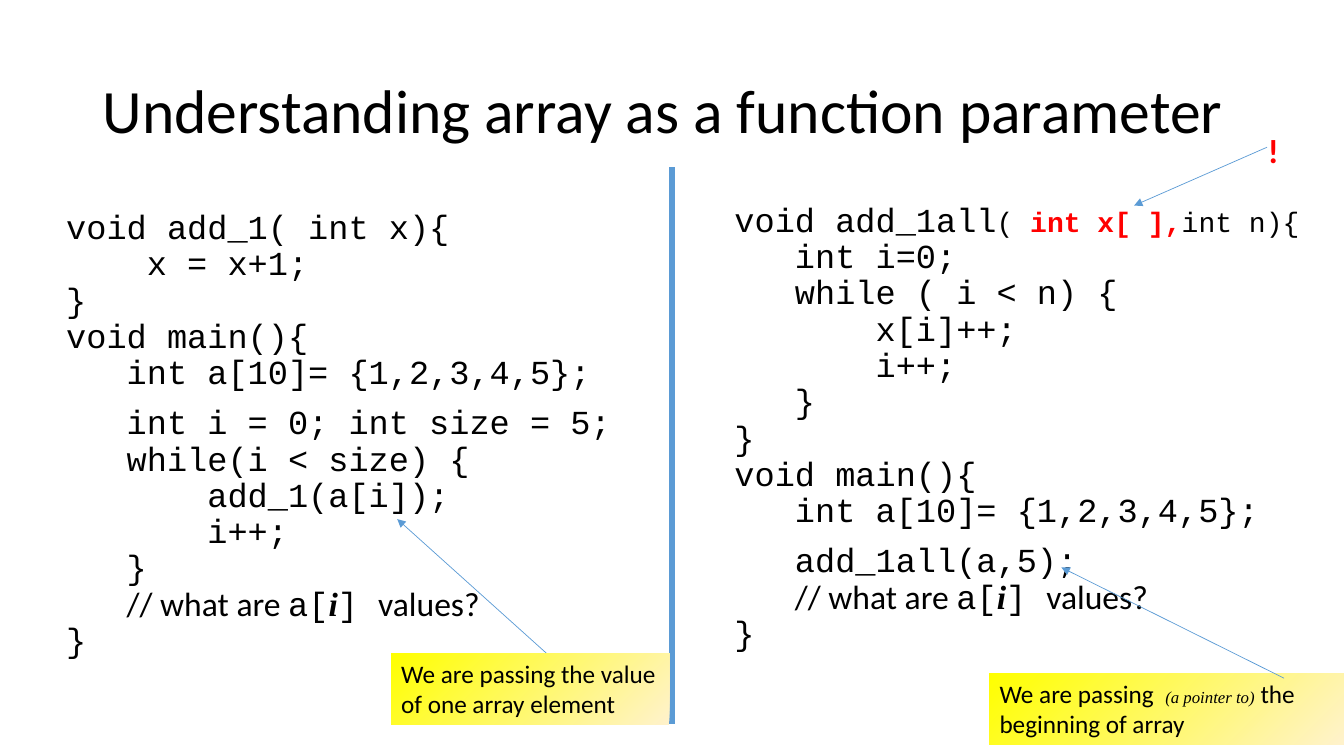
from dataclasses import dataclass

import lxml.etree
import pptx
import pptx.dml.color
import pptx.enum.dml
import pptx.enum.shapes
import pptx.enum.text
import pptx.oxml.ns
import pptx.util

Cm, Pt, qn = pptx.util.Cm, pptx.util.Pt, pptx.oxml.ns.qn
AUTO_SIZE = pptx.enum.text.MSO_AUTO_SIZE
COLORS = {"ink": "000000", "alert": "FF0000", "line": "5B9BD5",
          "note": "FFFF00", "note_edge": "FFF2CC"}
CODE, SANS, SERIF = "Courier New", "Calibri", "Times New Roman"


@dataclass
class Span:
    text: str
    font: str = CODE
    size: float = 24
    color: str = "ink"
    bold: bool = False
    italic: bool = False


@dataclass
class Block:
    left: float
    top: float
    width: float
    height: float
    paragraphs: list[list[Span]]
    wrap: bool = True
    grow: bool = False


@dataclass
class Line:
    start: tuple[float, float]
    end: tuple[float, float]
    width: float = 0.5
    arrow: bool = True


def rgb(name: str) -> pptx.dml.color.RGBColor:
    return pptx.dml.color.RGBColor.from_string(COLORS[name])


def format_run(run, span: Span) -> None:
    run.font.name, run.font.size = span.font, Pt(span.size)
    run.font.bold, run.font.italic = span.bold, span.italic
    run.font.color.rgb = rgb(span.color)


def write_spans(paragraph, spans: list[Span]) -> None:
    for span in spans:
        for number, text in enumerate(span.text.split("\n")):
            if number:
                paragraph.add_line_break()
            if text:
                run = paragraph.add_run()
                run.text = text
                format_run(run, span)


def fill_frame(frame, block: Block) -> None:
    frame.word_wrap = block.wrap
    frame.auto_size = AUTO_SIZE.SHAPE_TO_FIT_TEXT if block.grow else AUTO_SIZE.NONE
    for number, spans in enumerate(block.paragraphs):
        paragraph = frame.add_paragraph() if number else frame.paragraphs[0]
        paragraph.alignment = pptx.enum.text.PP_ALIGN.LEFT
        write_spans(paragraph, spans)


def box(block: Block) -> tuple:
    return Cm(block.left), Cm(block.top), Cm(block.width), Cm(block.height)


def draw_text(slide, block: Block):
    frame = slide.shapes.add_textbox(*box(block)).text_frame
    fill_frame(frame, block)
    return frame


def draw_code(slide, block: Block) -> None:
    for paragraph in draw_text(slide, block).paragraphs:
        paragraph.line_spacing = 0.9
        paragraph.space_before = Pt(10)


def draw_callout(slide, block: Block) -> None:
    callout = slide.shapes.add_shape(
        pptx.enum.shapes.MSO_SHAPE.RECTANGLE, *box(block))
    callout.shadow.inherit = False
    callout.line.fill.background()
    callout.fill.gradient()
    for stop, color in zip(callout.fill.gradient_stops, ("note", "note_edge")):
        stop.color.rgb = rgb(color)
    # Radial gradient that starts in the top left corner
    gradient = callout.element.spPr.find(qn("a:gradFill"))
    gradient.remove(gradient.find(qn("a:lin")))
    radial = lxml.etree.SubElement(gradient, qn("a:path"), {"path": "circle"})
    lxml.etree.SubElement(radial, qn("a:fillToRect"), r="100000", b="100000")
    callout.text_frame.vertical_anchor = pptx.enum.text.MSO_ANCHOR.TOP
    fill_frame(callout.text_frame, block)


def draw_line(slide, line: Line) -> None:
    connector = slide.shapes.add_connector(
        pptx.enum.shapes.MSO_CONNECTOR.STRAIGHT,
        *(Cm(length) for length in line.start + line.end))
    connector.line.color.rgb = rgb("line")
    connector.line.width = Pt(line.width)
    properties = connector.element.spPr
    if line.arrow:
        lxml.etree.SubElement(properties.find(qn("a:ln")), qn("a:tailEnd"), type="triangle")
    lxml.etree.SubElement(properties, qn("a:effectLst"))


# Both programs end with the same question
QUESTION = [Span("// what are ", SANS), Span("a["),
            Span("i", SERIF, bold=True, italic=True), Span("] "),
            Span("values?\n", SANS), Span("}")]

BY_VALUE = Block(1.42, 5.18, 16.84, 12.09, [
    [Span("void add_1( int x){\n    x = x+1;\n}\n"
          "void main(){\n   int a[10]= {1,2,3,4,5};")],
    [Span("   int i = 0; int size = 5;\n   while(i < size) {\n"
          "       add_1(a[i]);\n       i++;\n   }\n   "), *QUESTION],
])
BY_POINTER = Block(18.26, 5, 16.97, 12.09, [
    [Span("void add_1all"), Span("( ", size=20),
     Span("int x[ ],", size=20, color="alert", bold=True),
     Span("int n){\n", size=20),
     Span("   int i=0;\n   while ( i < n) {\n       x[i]++;\n       i++;\n   }\n}\n"
          "void main(){\n   int a[10]= {1,2,3,4,5};")],
    [Span("   add_1all(a,5);\n   "), *QUESTION],
])
ALERT = Block(31.7, 3.15, 0.76, 0.74,
              [[Span("!", SANS, color="alert", bold=True)]], wrap=False, grow=True)
VALUE_NOTE = Block(9.86, 16.46, 7.01, 1.8, [
    [Span("We are passing the value\nof one array element", SANS, 18)]],
    wrap=False, grow=True)
POINTER_NOTE = Block(24.94, 16.97, 8.94, 1.8, [
    [Span("We are passing  ", SANS, 18),
     Span("(a pointer to)", SERIF, 12, italic=True),
     Span(" the beginning of array", SANS, 18)]], grow=True)

DIVIDER = Line((16.94, 4.22), (16.94, 18.24), width=4.5, arrow=False)
ALERT_ARROW = Line((31.93, 3.71), (28.58, 5.18))
VALUE_ARROW = Line((13.77, 16.46), (10.01, 13.08))
POINTER_ARROW = Line((32.36, 17.09), (26.75, 14.3))


def main() -> None:
    deck = pptx.Presentation()
    deck.slide_width, deck.slide_height = Cm(33.87), Cm(19.05)
    slide = deck.slides.add_slide(deck.slide_layouts[5])

    # Title
    title = slide.shapes.title
    title.left, title.top, title.width, title.height = Cm(2.33), Cm(1.01), Cm(29.21), Cm(3.68)
    title.text_frame.text = "Understanding array as a function parameter"
    title.text_frame.auto_size = AUTO_SIZE.NONE
    title.text_frame.vertical_anchor = pptx.enum.text.MSO_ANCHOR.MIDDLE
    heading = title.text_frame.paragraphs[0]
    heading.alignment = pptx.enum.text.PP_ALIGN.LEFT
    heading.line_spacing = 0.9
    format_run(heading.runs[0], Span(heading.text, SANS, 44))

    # Two programs side by side
    draw_code(slide, BY_VALUE)
    draw_code(slide, BY_POINTER)
    draw_line(slide, DIVIDER)

    # Remarks with their arrows
    draw_line(slide, ALERT_ARROW)
    draw_text(slide, ALERT)
    draw_line(slide, VALUE_ARROW)
    draw_callout(slide, VALUE_NOTE)
    draw_callout(slide, POINTER_NOTE)
    draw_line(slide, POINTER_ARROW)

    deck.save("out.pptx")


if __name__ == "__main__":
    main()
